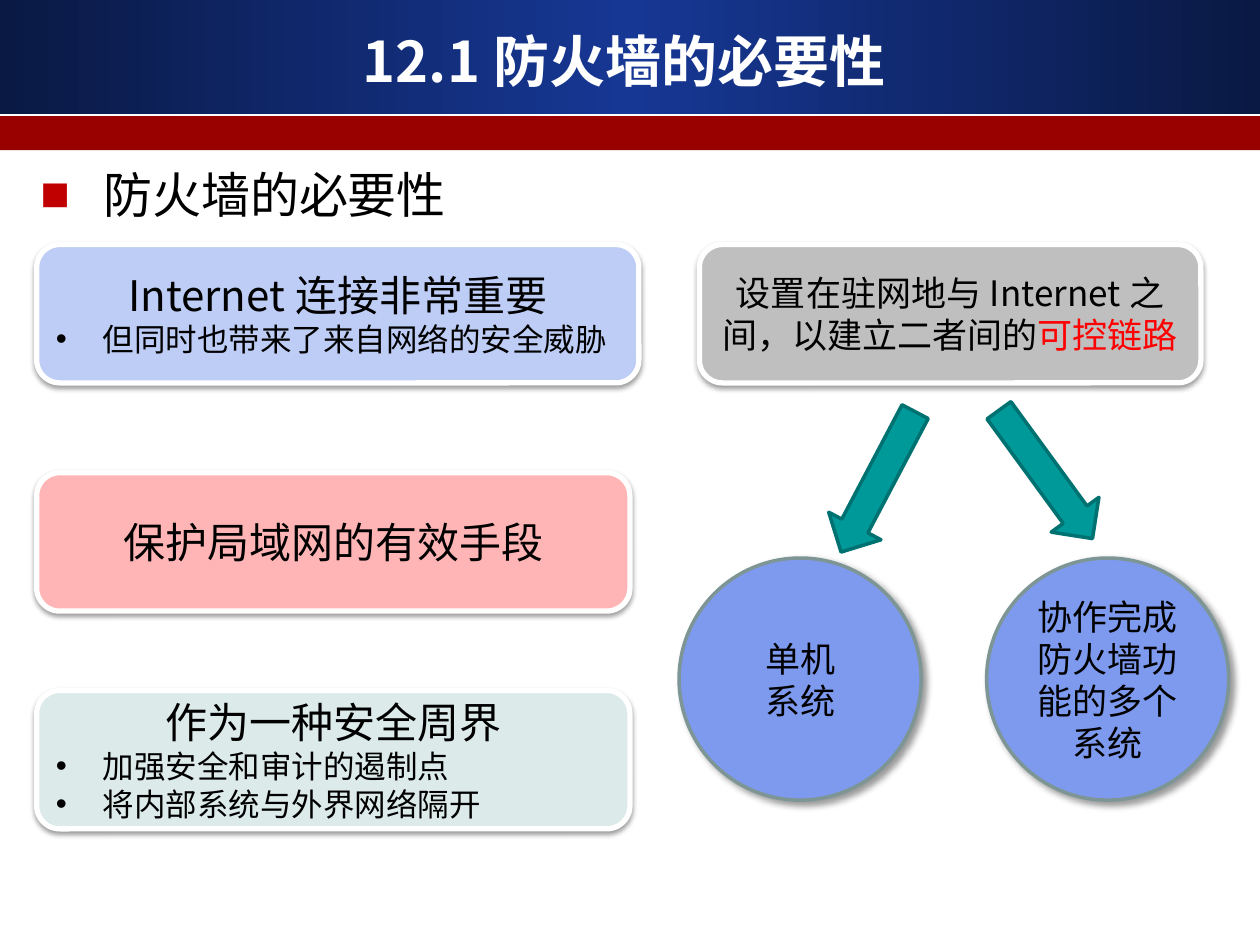
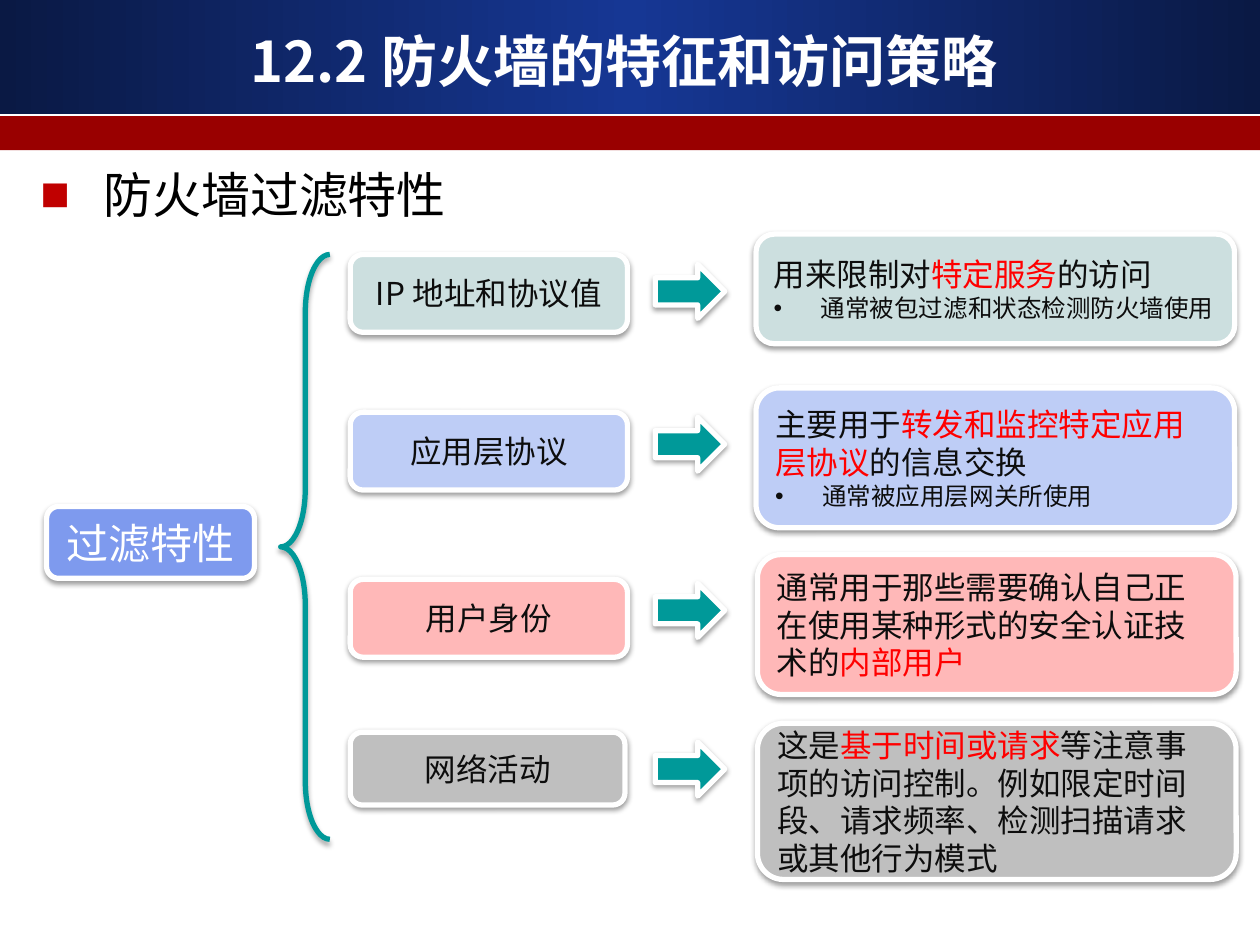
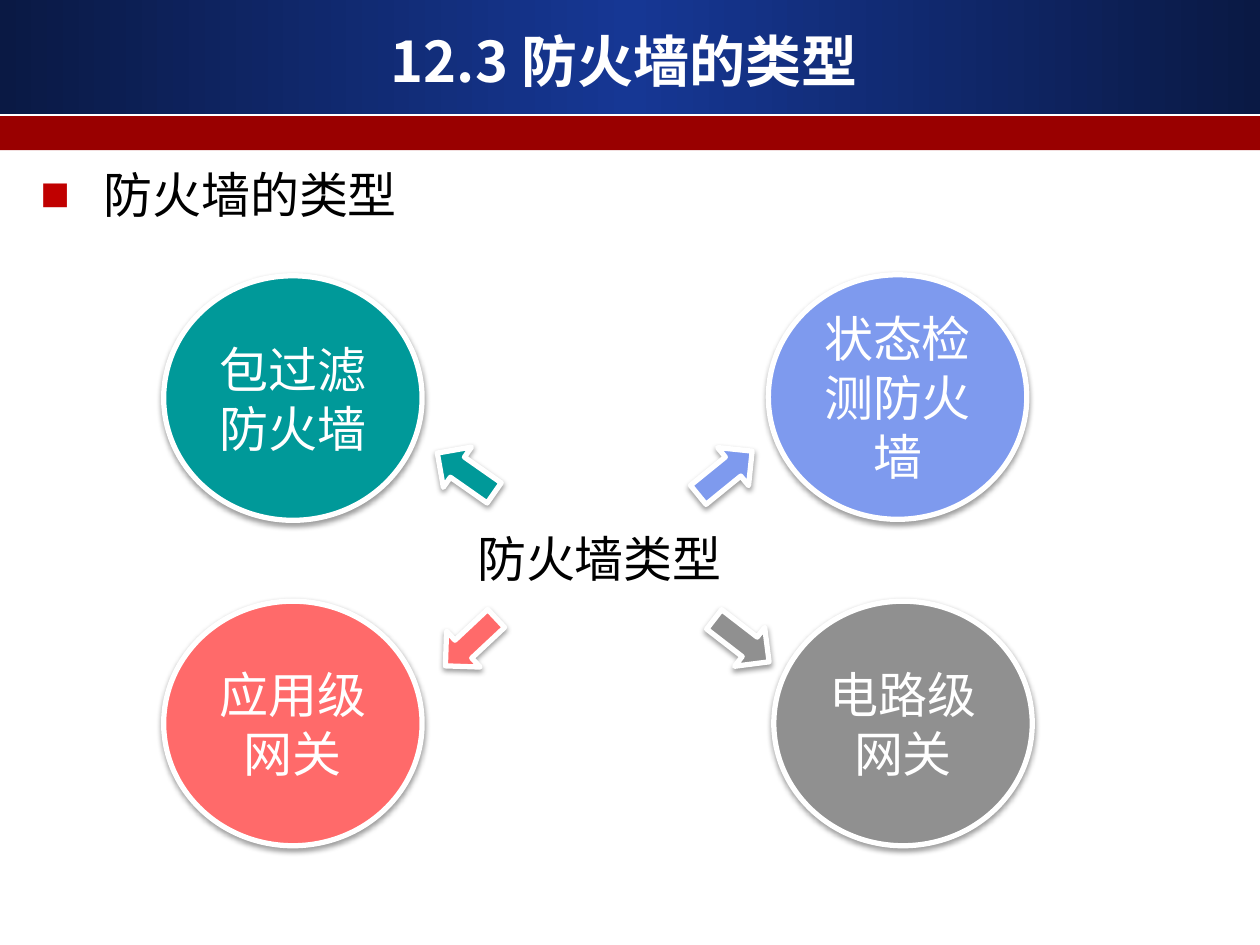
import copy

import pptx
import pptx.util
from lxml import etree
from pptx.dml.color import RGBColor
from pptx.enum.shapes import MSO_SHAPE
from pptx.enum.text import MSO_ANCHOR, MSO_AUTO_SIZE, PP_ALIGN
from pptx.oxml.ns import qn
from pptx.util import Cm, Pt

FONT = "Noto Sans CJK SC"
BLACK = RGBColor(0x00, 0x00, 0x00)
INK = RGBColor(0x0D, 0x0D, 0x0D)
WHITE = RGBColor(0xFF, 0xFF, 0xFF)
RED = RGBColor(0xFF, 0x00, 0x00)
BULLET_RED = RGBColor(0xC0, 0x00, 0x00)
BAND_RED = RGBColor(0x99, 0x00, 0x00)
NAVY = RGBColor(0x0A, 0x19, 0x44)
ROYAL = RGBColor(0x16, 0x37, 0x94)
TEAL = RGBColor(0x00, 0x99, 0x99)
DARK_TEAL = RGBColor(0x00, 0x71, 0x71)
BLUE = RGBColor(0x7E, 0x9A, 0xEE)
CORAL = RGBColor(0xFF, 0x6A, 0x6A)
GRAY = RGBColor(0x90, 0x90, 0x90)
SLATE = RGBColor(0x7E, 0x95, 0x95)
PALE_BLUE = RGBColor(0xBE, 0xCD, 0xF6)
PALE_RED = RGBColor(0xFF, 0xB5, 0xB5)
PALE_PINK = RGBColor(0xFF, 0xB8, 0xB8)
PALE_TEAL = RGBColor(0xCC, 0xDF, 0xDF)
MIST = RGBColor(0xDD, 0xEA, 0xEA)
SILVER = RGBColor(0xBF, 0xBF, 0xBF)

# Shadows: blur, distance (points), direction (degrees), opacity (percent)
SOFT = (3.1, 1.6, 90, 38)
BRACE_SHADOW = (3.1, 1.8, 90, 35)
DIAGONAL = (4, 3, 45, 40)


def add_xml(parent, tag, **attributes):
    values = {name: str(value) for name, value in attributes.items()}
    return etree.SubElement(parent, qn(tag), values)


class Deck:
    """Holds the shared style and the slide being drawn."""

    def __init__(self):
        self.presentation = pptx.Presentation()
        self.presentation.slide_width = Cm(25.4)
        self.presentation.slide_height = Cm(19.05)
        self.layout = self.presentation.slide_layouts[1]
        self.slide = None
        title, body = list(self.layout.placeholders)[:2]
        self.place(title, 0.84, 0.43, 23.5, 1.57)
        self.place(body, 0.56, 3.18, 22.91, 1.45)

    def place(self, shape, left, top, width, height):
        shape.left, shape.top = Cm(left), Cm(top)
        shape.width, shape.height = Cm(width), Cm(height)

    def add_slide(self, title, heading):
        self.slide = self.presentation.slides.add_slide(self.layout)
        if len(self.presentation.slides) == 1:
            self.add_bands()
        title_shape, body = self.slide.placeholders
        self.set_text(title_shape, [title], 32, WHITE, bold=True)
        self.set_text(body, ["■" + heading], 28, BLACK, bullet_size=28, anchor=MSO_ANCHOR.TOP)

    def add_bands(self):
        """Draw the two header bands and move them to the layout."""
        blue = self.shape(MSO_SHAPE.RECTANGLE, (0, 0, 25.4, 2.31), None)
        blue.fill.gradient()
        blue.fill.gradient_angle = 0
        stops = blue.element.spPr.find(qn("a:gradFill")).find(qn("a:gsLst"))
        stops.append(copy.deepcopy(stops[0]))
        for stop, color, position in zip(blue.fill.gradient_stops, (NAVY, ROYAL, NAVY), (0, 0.5, 1)):
            stop.color.rgb, stop.position = color, position
        red = self.shape(MSO_SHAPE.RECTANGLE, (0, 2.34, 25.4, 0.69), BAND_RED)
        for index, band in enumerate((blue, red), start=2):
            self.layout.shapes.element.insert(index, band.element)

    def shape(self, kind, box, fill, line=None, line_width=3, shadow=None, rotation=0):
        shape = self.slide.shapes.add_shape(kind, *(Cm(value) for value in box))
        shape.rotation = rotation
        shape.shadow.inherit = False
        if fill is None:
            shape.fill.background()
        else:
            shape.fill.solid()
            shape.fill.fore_color.rgb = fill
        if line is None:
            shape.line.fill.background()
        else:
            shape.line.color.rgb = line
            shape.line.width = Pt(line_width)
        if shadow:
            blur, distance, direction, opacity = shadow
            effects = shape.element.spPr.find(qn("a:effectLst"))
            outer = add_xml(effects, "a:outerShdw", blurRad=Pt(blur), dist=Pt(distance),
                            dir=direction * 60000, rotWithShape=0)
            color = add_xml(outer, "a:srgbClr", val=BLACK)
            add_xml(color, "a:alpha", val=opacity * 1000)
        return shape

    def card(self, box, fill, paragraphs, size, color=BLACK, align=PP_ALIGN.CENTER, bullet_size=18):
        shape = self.shape(MSO_SHAPE.ROUNDED_RECTANGLE, box, fill, WHITE, shadow=SOFT)
        self.set_text(shape, paragraphs, size, color, align, bullet_size)

    def circle(self, box, fill, paragraphs, size, color, line=WHITE, line_width=3, shadow=SOFT):
        shape = self.shape(MSO_SHAPE.OVAL, box, fill, line, line_width, shadow)
        self.set_text(shape, paragraphs, size, color)

    def arrow(self, box, fill=TEAL, rotation=0, line=WHITE, line_width=3, shadow=SOFT):
        self.shape(MSO_SHAPE.RIGHT_ARROW, box, fill, line, line_width, shadow, rotation)

    def brace(self, box, curl):
        shape = self.shape(MSO_SHAPE.LEFT_BRACE, box, None, TEAL, shadow=BRACE_SHADOW)
        shape.adjustments[0] = curl

    def label(self, box, text, size):
        shape = self.slide.shapes.add_textbox(*(Cm(value) for value in box))
        self.set_text(shape, [text], size, BLACK, PP_ALIGN.LEFT, anchor=MSO_ANCHOR.TOP)

    def bullet(self, paragraph, character):
        """Give the paragraph a hanging bullet; squares are red and wider."""
        square = character == "■"
        indent = Cm(1.27 if square else 0.95)
        properties = paragraph._p.get_or_add_pPr()
        properties.set("marL", str(indent))
        properties.set("indent", str(-indent))
        if square:
            color = add_xml(properties, "a:buClr")
            add_xml(color, "a:srgbClr", val=BULLET_RED)
        add_xml(properties, "a:buFont", typeface="Arial")
        add_xml(properties, "a:buChar", char=character)

    def set_text(self, shape, paragraphs, size, color, align=PP_ALIGN.CENTER, bullet_size=18,
                 bold=False, anchor=MSO_ANCHOR.MIDDLE):
        """Fill in paragraphs: a leading • or ■ is a bullet, *text* is red."""
        frame = shape.text_frame
        frame.word_wrap = True
        frame.auto_size = MSO_AUTO_SIZE.NONE
        frame.vertical_anchor = anchor
        for index, text in enumerate(paragraphs):
            paragraph = frame.add_paragraph() if index else frame.paragraphs[0]
            paragraph.space_before = Pt(0)
            bulleted = text[0] in "•■"
            paragraph.alignment = PP_ALIGN.LEFT if bulleted else align
            if bulleted:
                self.bullet(paragraph, text[0])
                text = text[1:]
            font = paragraph.font
            font.size = Pt(bullet_size if bulleted else size)
            font.bold = bold
            font.color.rgb = color
            font.name = FONT
            add_xml(paragraph._p.pPr.find(qn("a:defRPr")), "a:ea", typeface=FONT)
            for position, part in enumerate(text.split("*")):
                if part:
                    run = paragraph.add_run()
                    run.text = part
                    if position % 2:
                        run.font.color.rgb = RED


def draw_necessity(deck):
    deck.add_slide("12.1防火墙的必要性", "防火墙的必要性")
    # Reasons on the left
    reasons = [
        (4.93, 12.14, PALE_BLUE, ["Internet连接非常重要", "•但同时也带来了来自网络的安全威胁"]),
        (9.53, 11.96, PALE_RED, ["保护局域网的有效手段"]),
        (13.92, 11.96, MIST, ["作为一种安全周界", "•加强安全和审计的遏制点", "•将内部系统与外界网络隔开"]),
    ]
    for top, width, fill, paragraphs in reasons:
        deck.card((0.74, top, width, 2.79), fill, paragraphs, 24)
    # Placement and its two forms on the right
    deck.card((14.1, 4.93, 10.11, 2.79), SILVER,
              ["设置在驻网地与Internet之间，以建立二者间的*可控链路*"], 20)
    for left, paragraphs in ((13.69, ["单机", "系统"]), (19.89, ["协作完成防火墙功能的多个系统"])):
        deck.circle((left, 11.25, 4.88, 4.88), BLUE, paragraphs, 20, BLACK, SLATE, 2, DIAGONAL)
    for left, top, rotation in ((19.48, 8.97, 53.9), (16.1, 9.12, 117.8)):
        deck.arrow((left, top, 3.2, 1.19), TEAL, rotation, DARK_TEAL, 2, None)


def draw_features(deck):
    deck.add_slide("12.2防火墙的特征和访问策略", "防火墙过滤特性")
    deck.card((0.94, 10.21, 4.19, 1.45), BLUE, ["过滤特性"], 24, WHITE)
    deck.brace((5.66, 5.13, 0.99, 11.79), 1.18)
    # One row per feature: name box, arrow top, description box
    rows = [
        (PALE_TEAL, "IP地址和协议值", (7.06, 5.13, 5.59, 1.57), 5.33, (15.24, 4.72, 9.65, 2.21),
         ["用来限制对*特定服务*的访问", "•通常被包过滤和状态检测防火墙使用"]),
        (PALE_BLUE, "应用层协议", (7.06, 8.31, 5.59, 1.57), 8.41, (15.24, 7.82, 9.65, 2.82),
         ["主要用于*转发和监控特定应用层协议*的信息交换", "•通常被应用层网关所使用"]),
        (PALE_PINK, "用户身份", (7.06, 11.68, 5.59, 1.57), 11.76, (15.27, 11.18, 9.65, 2.82),
         ["通常用于那些需要确认自己正在使用某种形式的安全认证技术的*内部用户*"]),
        (SILVER, "网络活动", (7.06, 14.76, 5.54, 1.47), 14.96, (15.27, 14.58, 9.65, 3.15),
         ["这是*基于时间或请求*等注意事项的访问控制。例如限定时间段、请求频率、检测扫描请求或其他行为模式"]),
    ]
    for fill, name, name_box, arrow_top, description_box, description in rows:
        deck.card(name_box, fill, [name], 18, INK)
        deck.arrow((13.21, arrow_top, 1.4, 1.09))
        deck.card(description_box, fill, description, 18, INK, PP_ALIGN.LEFT, 14)


def draw_types(deck):
    deck.add_slide("12.3防火墙的类型", "防火墙的类型")
    # Four types around the centre label, each with its arrow
    types = [
        ("包过滤防火墙", TEAL, (3.3, 5.56), (8.69, 9.04), 215),
        ("状态检测防火墙", BLUE, (15.49, 5.54), (13.92, 9.04), 320.9),
        ("应用级网关", CORAL, (3.3, 12.12), (8.79, 12.45), 136.9),
        ("电路级网关", GRAY, (15.6, 12.12), (14.25, 12.42), 37.7),
    ]
    for name, fill, circle_corner, arrow_corner, rotation in types:
        deck.circle((*circle_corner, 5.21, 4.93), fill, [name], 28, WHITE)
        deck.arrow((*arrow_corner, 1.4, 0.99), fill, rotation)
    deck.label((9.37, 10.52, 5.87, 1.45), "防火墙类型", 28)


def main():
    deck = Deck()
    draw_necessity(deck)
    draw_features(deck)
    draw_types(deck)
    deck.presentation.save("out.pptx")


if __name__ == "__main__":
    main()
